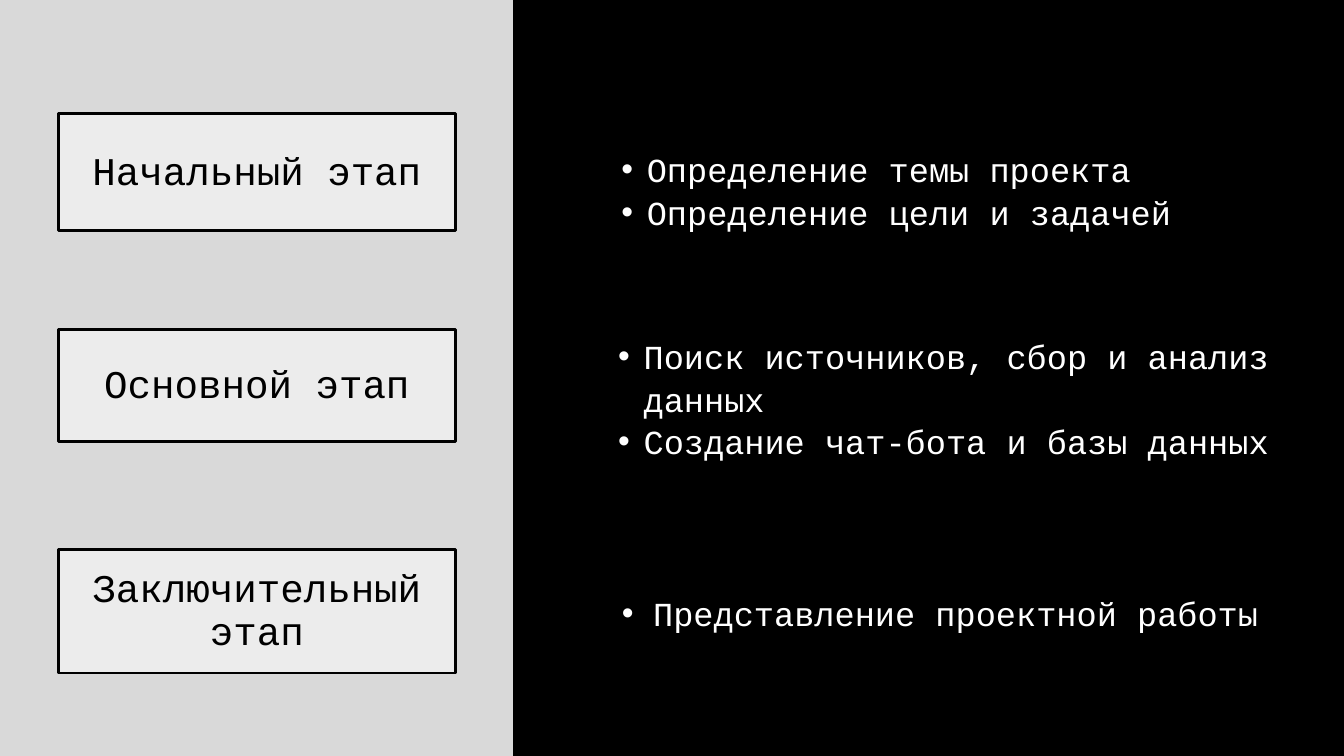
from dataclasses import dataclass

from lxml.etree import SubElement
from pptx import Presentation
from pptx.dml.color import RGBColor
from pptx.enum.shapes import MSO_SHAPE
from pptx.enum.text import MSO_ANCHOR, PP_ALIGN
from pptx.oxml.ns import qn
from pptx.shapes.autoshape import Shape
from pptx.slide import Slide
from pptx.text.text import _Paragraph
from pptx.util import Cm, Pt


@dataclass(frozen=True)
class Theme:
    black: RGBColor = RGBColor(0x00, 0x00, 0x00)
    white: RGBColor = RGBColor(0xFF, 0xFF, 0xFF)
    grey: RGBColor = RGBColor(0xD9, 0xD9, 0xD9)
    font: str = "Courier New"
    bullet_font: str = "Arial"
    label_size: Pt = Pt(28)
    task_size: Pt = Pt(24)
    border: Pt = Pt(2)


@dataclass(frozen=True)
class Box:
    left: float
    top: float
    width: float
    height: float

    def lengths(self) -> tuple[Cm, Cm, Cm, Cm]:
        return Cm(self.left), Cm(self.top), Cm(self.width), Cm(self.height)


@dataclass(frozen=True)
class Stage:
    name: str
    label: Box
    tasks: tuple[str, ...]
    task_box: Box
    margin: float = 1.9
    hang: float = 0.64
    anchor: MSO_ANCHOR = MSO_ANCHOR.TOP
    inset_bottom: float = 0.13


THEME = Theme()
WIDTH, HEIGHT, SPLIT = 33.87, 19.05, 12.93
LABEL_LEFT, LABEL_WIDTH = 1.47, 10.01

STAGES = (
    Stage(
        "Начальный этап",
        Box(LABEL_LEFT, 2.87, LABEL_WIDTH, 2.95),
        ("Определение темы проекта", "Определение цели и задачей"),
        Box(14.15, 2.87, 17.17, 4.06),
        anchor=MSO_ANCHOR.BOTTOM,
        inset_bottom=1.09,
    ),
    Stage(
        "Основной этап",
        Box(LABEL_LEFT, 8.31, LABEL_WIDTH, 2.82),
        ("Поиск источников, сбор и анализ данных", "Создание чат-бота и базы данных"),
        Box(14.07, 8.15, 19.79, 3.3),
    ),
    Stage(
        "Заключительный этап",
        Box(LABEL_LEFT, 13.84, LABEL_WIDTH, 3.12),
        ("Представление проектной работы",),
        Box(15.42, 14.63, 17.78, 1.27),
        margin=0.79,
        hang=0.79,
    ),
)


def add_rect(s: Slide, box: Box, color: RGBColor) -> Shape:
    sp = s.shapes.add_shape(MSO_SHAPE.RECTANGLE, *box.lengths())
    sp.shadow.inherit = False
    sp.fill.solid()
    sp.fill.fore_color.rgb = color
    sp.line.fill.background()
    return sp


def format_text(p: _Paragraph, size: Pt, color: RGBColor, spacing: float) -> None:
    p.line_spacing = spacing
    for r in p.runs:
        r.font.name = THEME.font
        r.font.size = size
        r.font.color.rgb = color


def add_label(s: Slide, stage: Stage) -> None:
    sp = add_rect(s, stage.label, THEME.white)
    color = sp.fill._xPr.find(qn("a:solidFill"))[0]
    SubElement(color, qn("a:alpha"), val="50000")
    sp.line.color.rgb = THEME.black
    sp.line.width = THEME.border
    tf = sp.text_frame
    tf.word_wrap = True
    tf.vertical_anchor = MSO_ANCHOR.MIDDLE
    tf.text = stage.name
    p = tf.paragraphs[0]
    p.alignment = PP_ALIGN.CENTER
    format_text(p, THEME.label_size, THEME.black, 0.9)


def add_bullet(p: _Paragraph, margin: float, hang: float) -> None:
    pPr = p._p.get_or_add_pPr()
    pPr.set("marL", str(Cm(margin)))
    pPr.set("indent", str(-Cm(hang)))
    SubElement(pPr, qn("a:buFont"), typeface=THEME.bullet_font)
    SubElement(pPr, qn("a:buChar"), char="•")


def add_tasks(s: Slide, stage: Stage) -> None:
    tf = s.shapes.add_textbox(*stage.task_box.lengths()).text_frame
    tf.word_wrap = True
    tf.vertical_anchor = stage.anchor
    tf.margin_top = Cm(0.25)
    tf.margin_bottom = Cm(stage.inset_bottom)
    tf.text = "\n".join(stage.tasks)
    for p in tf.paragraphs:
        add_bullet(p, stage.margin, stage.hang)
        format_text(p, THEME.task_size, THEME.white, 1.06)


def main() -> None:
    prs = Presentation()
    prs.slide_width, prs.slide_height = Cm(WIDTH), Cm(HEIGHT)
    s = prs.slides.add_slide(prs.slide_layouts[6])
    s.background.fill.solid()
    s.background.fill.fore_color.rgb = THEME.black
    add_rect(s, Box(0, 0, SPLIT, HEIGHT), THEME.grey)
    add_rect(s, Box(SPLIT, 0, WIDTH - SPLIT, HEIGHT), THEME.black)
    for stage in STAGES:
        add_label(s, stage)
        add_tasks(s, stage)
    prs.save("out.pptx")


if __name__ == "__main__":
    main()
